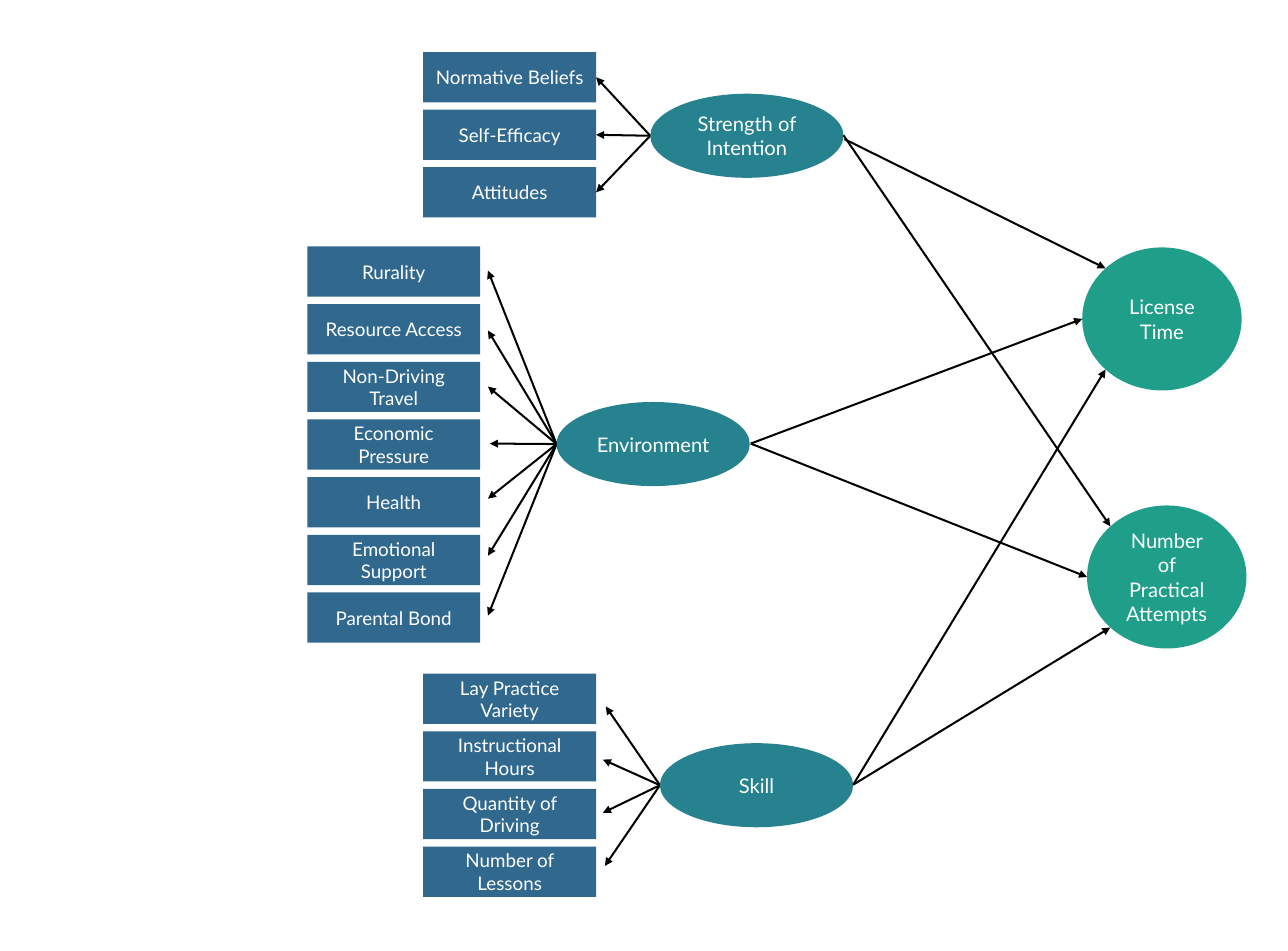
from math import sqrt

from pptx import Presentation
from pptx.dml.color import RGBColor
from pptx.enum.shapes import MSO_CONNECTOR, MSO_SHAPE
from pptx.enum.text import MSO_ANCHOR, PP_ALIGN
from pptx.oxml.ns import qn
from pptx.util import Inches, Pt
from lxml import etree

RECT, OVAL = MSO_SHAPE.RECTANGLE, MSO_SHAPE.OVAL
LINE = MSO_CONNECTOR.STRAIGHT
MIDDLE, CENTER = MSO_ANCHOR.MIDDLE, PP_ALIGN.CENTER
RIGHT = 3

BOX = (1.79, 0.52)
FACTOR = (2, 0.87)
RESULT = (1.65, 1.48)

# Factor name, its left and top, left of the boxes, top of first and last box,
# box names, arrow tips (None: the tips sit on the boxes)
GROUPS = [
    ("Strength of Intention", 6.73, 0.97, 4.38, 0.54, 1.73,
     ["Normative Beliefs", "Self-Efficacy", "Attitudes"], None),
    ("Environment", 5.76, 4.16, 3.18, 2.55, 6.13,
     ["Rurality", "Resource Access", "Non-Driving Travel",
      "Economic Pressure", "Health", "Emotional Support", "Parental Bond"],
     [(5.05, 2.8), (5.05, 3.42), (5.05, 4), (5.07, 4.59),
      (5.05, 5.16), (5.05, 5.75), (5.05, 6.37)]),
    ("Skill", 6.83, 7.69, 4.38, 6.97, 8.76,
     ["Lay Practice Variety", "Instructional Hours",
      "Quantity of Driving", "Number of Lessons"],
     [(6.27, 7.31), (6.24, 7.86), (6.24, 8.41), (6.26, 8.96)]),
]

# Result name, its left and top, starts of the arrows to its
# upper left, left and lower left
RESULTS = [
    ("License Time", 11.2, 2.56, [(8.74, 1.44), (7.77, 4.59), (8.83, 8.12)]),
    ("Number of Practical Attempts", 11.25, 5.23,
     [(8.73, 1.4), (7.77, 4.59), (8.83, 8.12)]),
]


def color(code):
    return RGBColor.from_string(code)


class Chart:
    """Style of the path diagram and the slide it is drawn on."""
    font = "Lato"
    ink, text = "000000", "FFFFFF"
    blue, teal, green = "31688E", "26828E", "1F9E89"

    def __init__(self, slide):
        self.shapes = slide.shapes

    def node(self, kind, left, top, size, fill, label, points):
        shape = self.shapes.add_shape(
            kind, Inches(left), Inches(top), *map(Inches, size))
        shape.shadow.inherit = False
        shape.fill.solid()
        shape.fill.fore_color.rgb = color(fill)
        shape.line.fill.background()
        frame = shape.text_frame
        frame.word_wrap = True
        frame.vertical_anchor = MIDDLE
        para = frame.paragraphs[0]
        para.alignment = CENTER
        run = para.add_run()
        run.text = label
        run.font.name = self.font
        run.font.size = Pt(points)
        run.font.color.rgb = color(self.text)
        return shape

    def box(self, left, top, label):
        return self.node(RECT, left, top, BOX, self.blue, label, 14)

    def factor(self, left, top, label):
        return self.node(OVAL, left, top, FACTOR, self.teal, label, 15)

    def result(self, left, top, label):
        return self.node(OVAL, left, top, RESULT, self.green, label, 15)

    def arrow(self, start, end, box=None):
        """Draw an arrow; a given box holds its tip at the right side."""
        line = self.shapes.add_connector(
            LINE, *map(Inches, start), *map(Inches, end))
        line.line.color.rgb = color(self.ink)
        line.line.width = Pt(1.5)
        if box is not None:
            line.end_connect(box, RIGHT)
        tail = etree.SubElement(line.line._get_or_add_ln(), qn("a:tailEnd"))
        tail.set("type", "triangle")
        etree.SubElement(line._element.spPr, qn("a:effectLst"))


def draw_group(chart, name, left, top, edge, first, last, labels, tips):
    step = (last - first) / (len(labels) - 1)
    start = (left, top + FACTOR[1] / 2)
    for i, label in enumerate(labels):
        y = first + i * step
        box = chart.box(edge, y, label)
        if tips:
            chart.arrow(start, tips[i])
        else:
            chart.arrow(start, (edge + BOX[0], y + BOX[1] / 2), box)
    chart.factor(left, top, name)


def draw_result(chart, name, left, top, starts):
    chart.result(left, top, name)
    wide, high = RESULT
    inset = (1 - sqrt(0.5)) / 2
    ends = [(inset, inset), (0, 0.5), (inset, 1 - inset)]
    for start, (x, y) in zip(starts, ends):
        chart.arrow(start, (left + x * wide, top + y * high))


def main():
    deck = Presentation()
    deck.slide_width, deck.slide_height = Inches(13.33), Inches(9.84)
    chart = Chart(deck.slides.add_slide(deck.slide_layouts[6]))
    for group in GROUPS:
        draw_group(chart, *group)
    for result in RESULTS:
        draw_result(chart, *result)
    deck.save("out.pptx")


if __name__ == "__main__":
    main()
